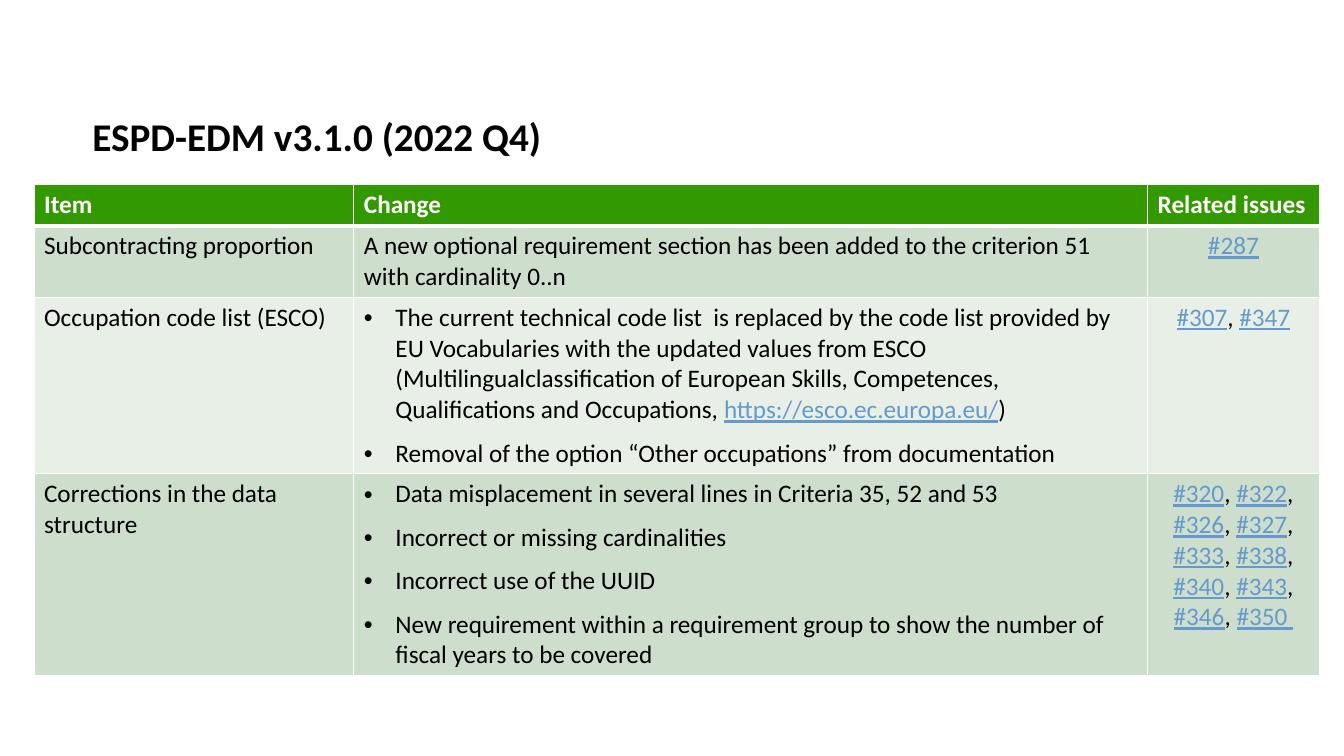
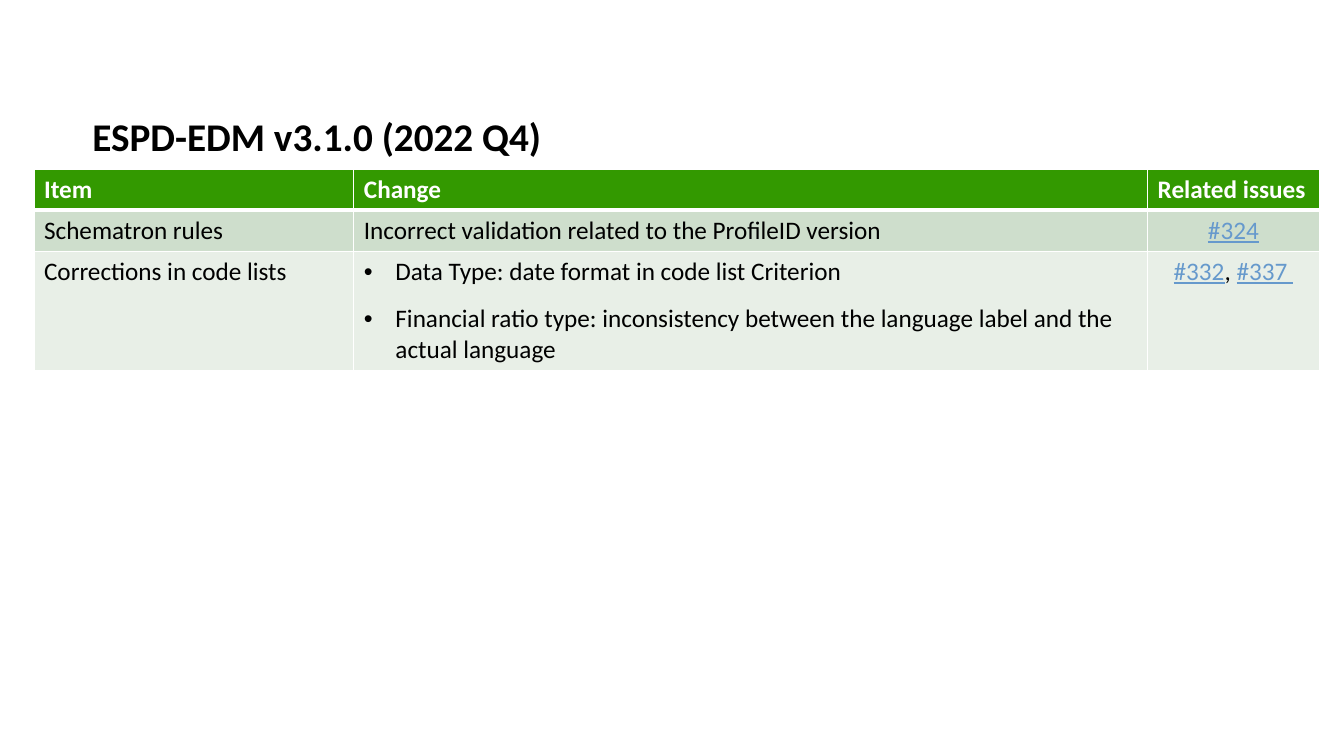
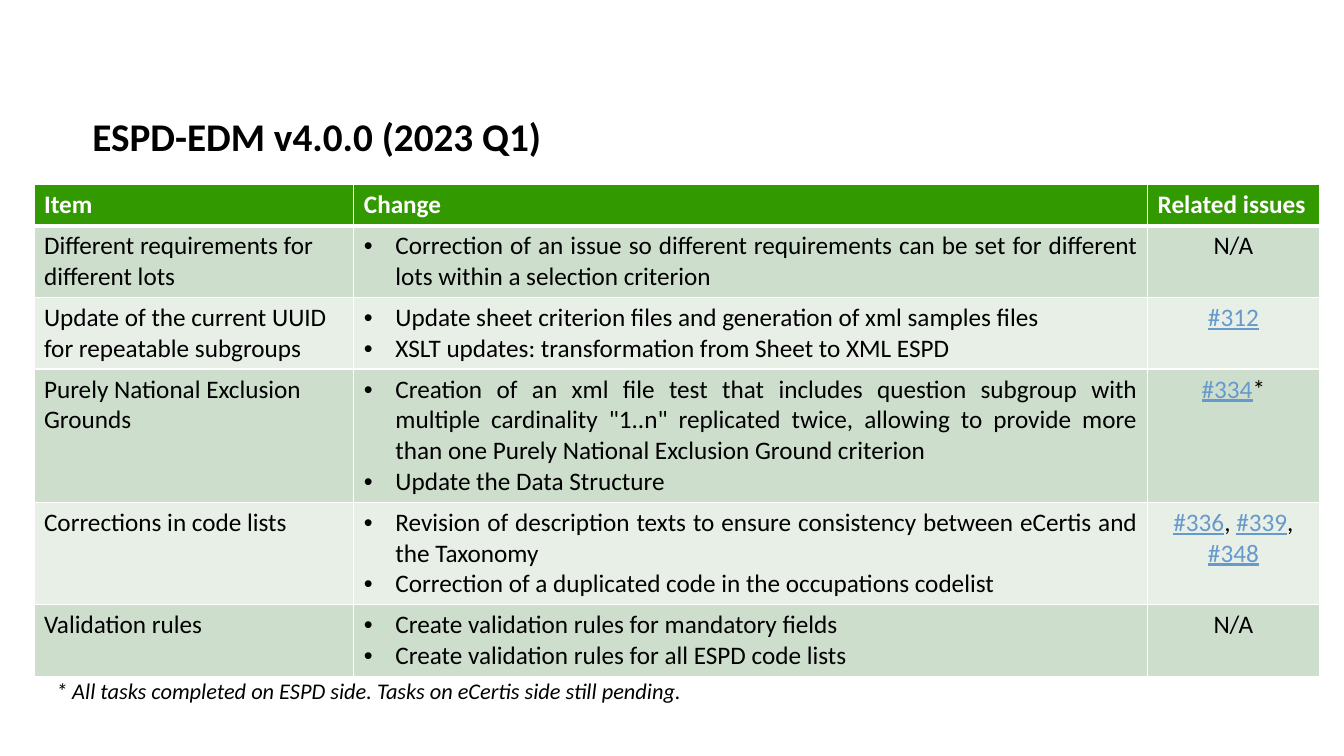
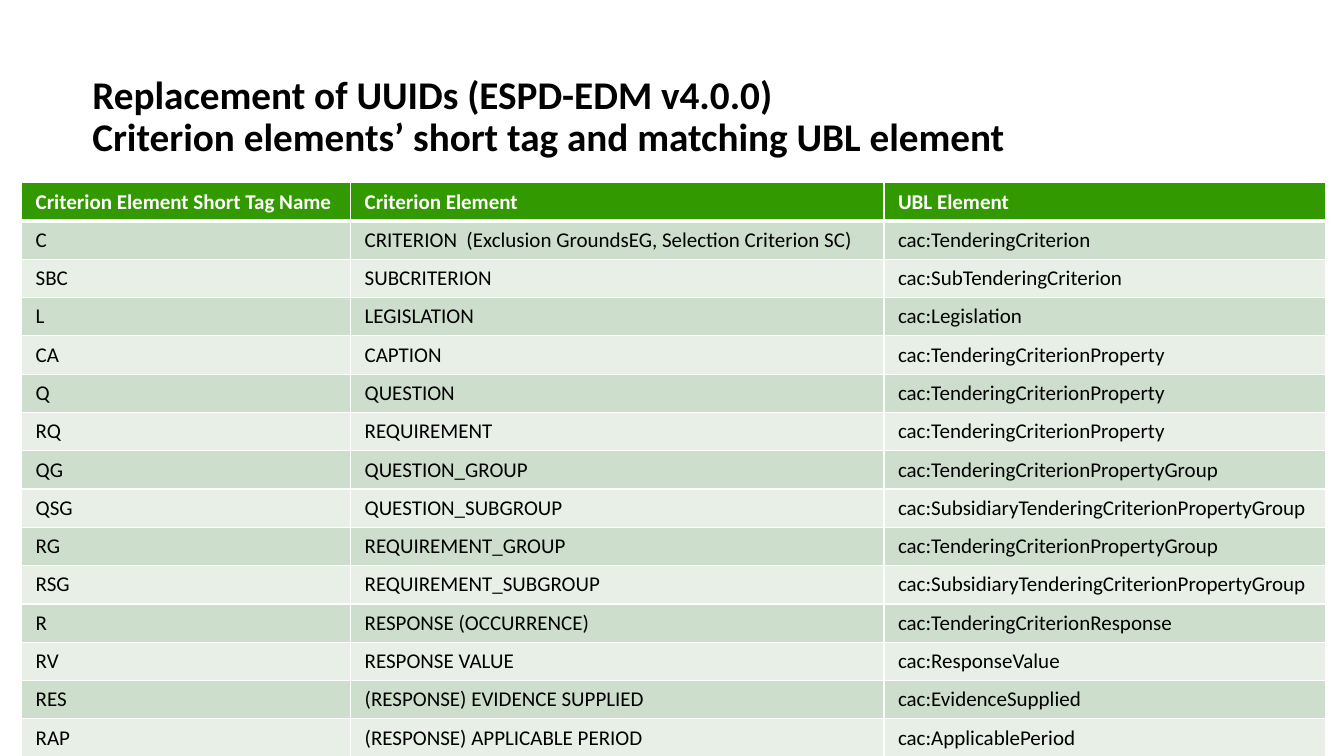
import lxml.etree
import pptx
import pptx.dml.color
import pptx.enum.text
import pptx.oxml.ns
import pptx.util

Pt = pptx.util.Pt
ALIGN = pptx.enum.text.PP_ALIGN
ANCHOR = pptx.enum.text.MSO_ANCHOR
COLORS = {
    "text": "000000",
    "white": "FFFFFF",
    "header": "339900",
    "odd": "CEDECC",
    "even": "E8EFE7",
    "link": "6699CC",
}
TITLE_BOX = (66, 10, 826.5, 104.5)
CHANGE_COLUMNS = (228.5, 567, 122.5)
CHANGE_HEADER = ("Item", "Change", "Related issues")
TAG_COLUMNS = (235, 381, 315.5)
TAG_MARGINS = {"margin_left": Pt(10), "margin_right": Pt(10), "margin_top": Pt(4.5),
               "margin_bottom": Pt(4.5), "vertical_anchor": ANCHOR.MIDDLE}

CHANGES_310 = [
    ("Subcontracting proportion",
     "A new optional requirement section has been added to the criterion 51 with cardinality 0..n",
     "|#287|"),
    ("Occupation code list (ESCO)",
     ["The current technical code list  is replaced by the code list provided by EU Vocabularies "
      "with the updated values from ESCO (Multilingualclassification of European Skills, "
      "Competences, Qualifications and Occupations, |https://esco.ec.europa.eu/|)",
      "Removal of the option “Other occupations” from documentation"],
     "|#307|, |#347|"),
    ("Corrections in the data structure",
     ["Data misplacement in several lines in Criteria 35, 52 and 53",
      "Incorrect or missing cardinalities",
      "Incorrect use of the UUID",
      "New requirement within a requirement group to show the number of fiscal years to be covered"],
     "|#320|, |#322|, |#326|, |#327|, |#333|, |#338|, |#340|, |#343|, |#346|, |#350 |"),
]
MORE_CHANGES_310 = [
    ("Schematron rules", "Incorrect validation related to the ProfileID version", "|#324|"),
    ("Corrections in code lists",
     ["Data Type: date format in code list Criterion",
      "Financial ratio type: inconsistency between the language label and the actual language"],
     "|#332|, |#337 |"),
]
CHANGES_400 = [
    ("Different requirements for different lots",
     ["Correction of an issue so different requirements can be set for different lots "
      "within a selection criterion"],
     "N/A"),
    ("Update of the current UUID for repeatable subgroups",
     ["Update sheet criterion files and generation of xml samples files",
      "XSLT updates: transformation from Sheet to XML ESPD"],
     "|#312|"),
    ("Purely National Exclusion Grounds",
     ["Creation of an xml file test that includes question subgroup with multiple cardinality "
      "\"1..n\" replicated twice, allowing to provide more than one Purely National Exclusion "
      "Ground criterion",
      "Update the Data Structure"],
     "|#334|*"),
    ("Corrections in code lists",
     ["Revision of description texts to ensure consistency between eCertis and the Taxonomy",
      "Correction of a duplicated code in the occupations codelist"],
     "|#336|, |#339|, |#348|"),
    ("Validation rules",
     ["Create validation rules for mandatory fields",
      "Create validation rules for all ESPD code lists"],
     "N/A"),
]
TAG_HEADER = ("Criterion Element Short Tag Name", "Criterion Element", "UBL Element")
TAGS = [
    ("C", "CRITERION  (Exclusion GroundsEG, Selection Criterion SC)", "cac:TenderingCriterion"),
    ("SBC", "SUBCRITERION", "cac:SubTenderingCriterion"),
    ("L", "LEGISLATION", "cac:Legislation"),
    ("CA", "CAPTION", "cac:TenderingCriterionProperty"),
    ("Q", "QUESTION", "cac:TenderingCriterionProperty"),
    ("RQ", "REQUIREMENT", "cac:TenderingCriterionProperty"),
    ("QG", "QUESTION_GROUP", "cac:TenderingCriterionPropertyGroup"),
    ("QSG", "QUESTION_SUBGROUP", "cac:SubsidiaryTenderingCriterionPropertyGroup"),
    ("RG", "REQUIREMENT_GROUP", "cac:TenderingCriterionPropertyGroup"),
    ("RSG", "REQUIREMENT_SUBGROUP", "cac:SubsidiaryTenderingCriterionPropertyGroup"),
    ("R", "RESPONSE (OCCURRENCE)", "cac:TenderingCriterionResponse"),
    ("RV", "RESPONSE VALUE", "cac:ResponseValue"),
    ("RES", "(RESPONSE) EVIDENCE SUPPLIED", "cac:EvidenceSupplied"),
    ("RAP", "(RESPONSE) APPLICABLE PERIOD", "cac:ApplicablePeriod"),
]


def set_values(target, values):
    for name, value in values.items():
        setattr(target, name, value)


def rgb(name):
    return pptx.dml.color.RGBColor.from_string(COLORS[name])


def add_element(parent, tag, **attributes):
    return lxml.etree.SubElement(parent, pptx.oxml.ns.qn(tag), attributes)


def write_runs(paragraph, text, color="text", **font):
    for index, part in enumerate(text.split("|")):
        if part:
            run = paragraph.add_run()
            run.text = part
            is_link = index % 2 == 1
            set_values(run.font, {"name": "Calibri", **font})
            run.font.color.rgb = rgb("link" if is_link else color)
            if is_link:
                run.font.underline = True


def add_bullet(paragraph):
    properties = paragraph._p.get_or_add_pPr()
    properties.set("marL", str(Pt(22.5)))
    properties.set("indent", str(-Pt(22.5)))
    add_element(properties, "a:buFont", typeface="Arial")
    add_element(properties, "a:buChar", char="•")


def add_borders(cell, top, bottom):
    properties = cell._tc.get_or_add_tcPr()
    for tag, width in (("a:lnL", 1), ("a:lnR", 1), ("a:lnT", top), ("a:lnB", bottom)):
        line = add_element(properties, tag, w=str(Pt(width)))
        fill = add_element(line, "a:solidFill")
        add_element(fill, "a:srgbClr", val=COLORS["white"])


def fill_cell(cell, content, row_number, size, paragraph_format):
    is_header = row_number == 0
    add_borders(cell, 3 if row_number == 1 else 1, 3 if is_header else 1)
    cell.fill.solid()
    cell.fill.fore_color.rgb = rgb("header" if is_header else ("even", "odd")[row_number % 2])
    bulleted = isinstance(content, list)
    for index, text in enumerate(content if bulleted else [content]):
        paragraph = cell.text_frame.paragraphs[0] if index == 0 else cell.text_frame.add_paragraph()
        if bulleted:
            add_bullet(paragraph)
        set_values(paragraph, paragraph_format)
        if index == 0:
            paragraph.space_before = Pt(0)
        write_runs(paragraph, text, "white" if is_header else "text",
                   size=Pt(size), bold=is_header)


def add_grid(slide, left, top, widths, heights, rows, size, column_formats=(), cell_format=None):
    frame = slide.shapes.add_table(len(rows), len(widths), Pt(left), Pt(top),
                                   Pt(sum(widths)), Pt(sum(heights)))
    table = frame.table
    for column, width in zip(table.columns, widths):
        column.width = Pt(width)
    for row_number, (contents, height) in enumerate(zip(rows, heights)):
        table.rows[row_number].height = Pt(height)
        for column_number, content in enumerate(contents):
            cell = table.cell(row_number, column_number)
            set_values(cell, cell_format or {})
            paragraph_format = column_formats[column_number] if column_formats and row_number else {}
            fill_cell(cell, content, row_number, size, paragraph_format)


def add_titled_slide(presentation, *lines):
    slide = presentation.slides.add_slide(presentation.slide_layouts[5])
    title = slide.shapes.title
    set_values(title, dict(zip(("left", "top", "width", "height"), map(Pt, TITLE_BOX))))
    set_values(title.text_frame, {
        "margin_left": 0, "margin_top": Pt(3.6), "margin_right": 0, "margin_bottom": 0,
        "vertical_anchor": ANCHOR.BOTTOM, "word_wrap": True,
        "auto_size": pptx.enum.text.MSO_AUTO_SIZE.NONE,
    })
    paragraph = title.text_frame.paragraphs[0]
    set_values(paragraph, {"alignment": ALIGN.LEFT, "line_spacing": 0.9})
    for index, line in enumerate(lines):
        if index:
            paragraph.add_line_break()
        write_runs(paragraph, line, size=Pt(28), bold=True)
    return slide


def add_change_slide(presentation, title, top, changes, heights, change_format):
    slide = add_titled_slide(presentation, title)
    add_grid(slide, 24.3, top, CHANGE_COLUMNS, (29.2, *heights), [CHANGE_HEADER, *changes], 18,
             ({}, change_format, {"alignment": ALIGN.CENTER}))
    return slide


def add_tag_slide(presentation):
    slide = add_titled_slide(presentation, "Replacement of UUIDs (ESPD-EDM v4.0.0)",
                             "Criterion elements’ short tag and matching UBL element")
    rows = [TAG_HEADER, *TAGS]
    add_grid(slide, 15.5, 130.5, TAG_COLUMNS, [27.3] * len(rows), rows, 15,
             cell_format=TAG_MARGINS)


def add_footnote(slide, left, top, width, height, text):
    box = slide.shapes.add_textbox(Pt(left), Pt(top), Pt(width), Pt(height))
    box.text_frame.word_wrap = True
    write_runs(box.text_frame.paragraphs[0], text, size=Pt(16), italic=True)


def main():
    presentation = pptx.Presentation()
    set_values(presentation, {"slide_width": Pt(960), "slide_height": Pt(540)})
    add_change_slide(presentation, "ESPD-EDM v3.1.0 (2022 Q4)", 132, CHANGES_310,
                     (51.2, 126, 144), {"space_before": Pt(6), "space_after": Pt(3)})
    add_change_slide(presentation, "ESPD-EDM v3.1.0 (2022 Q4)", 121, MORE_CHANGES_310,
                     (29.2, 85.2), {"space_before": Pt(6), "space_after": Pt(6)})
    slide = add_change_slide(presentation, "ESPD-EDM v4.0.0 (2023 Q1)", 132, CHANGES_400,
                             (51.2, 51.2, 95.2, 73.2, 51.2), {"alignment": ALIGN.JUSTIFY})
    add_footnote(slide, 33, 480, 811.5, 26.5,
                 "* All tasks completed on ESPD side. Tasks on eCertis side still pending.")
    add_tag_slide(presentation)
    presentation.save("out.pptx")


if __name__ == "__main__":
    main()
